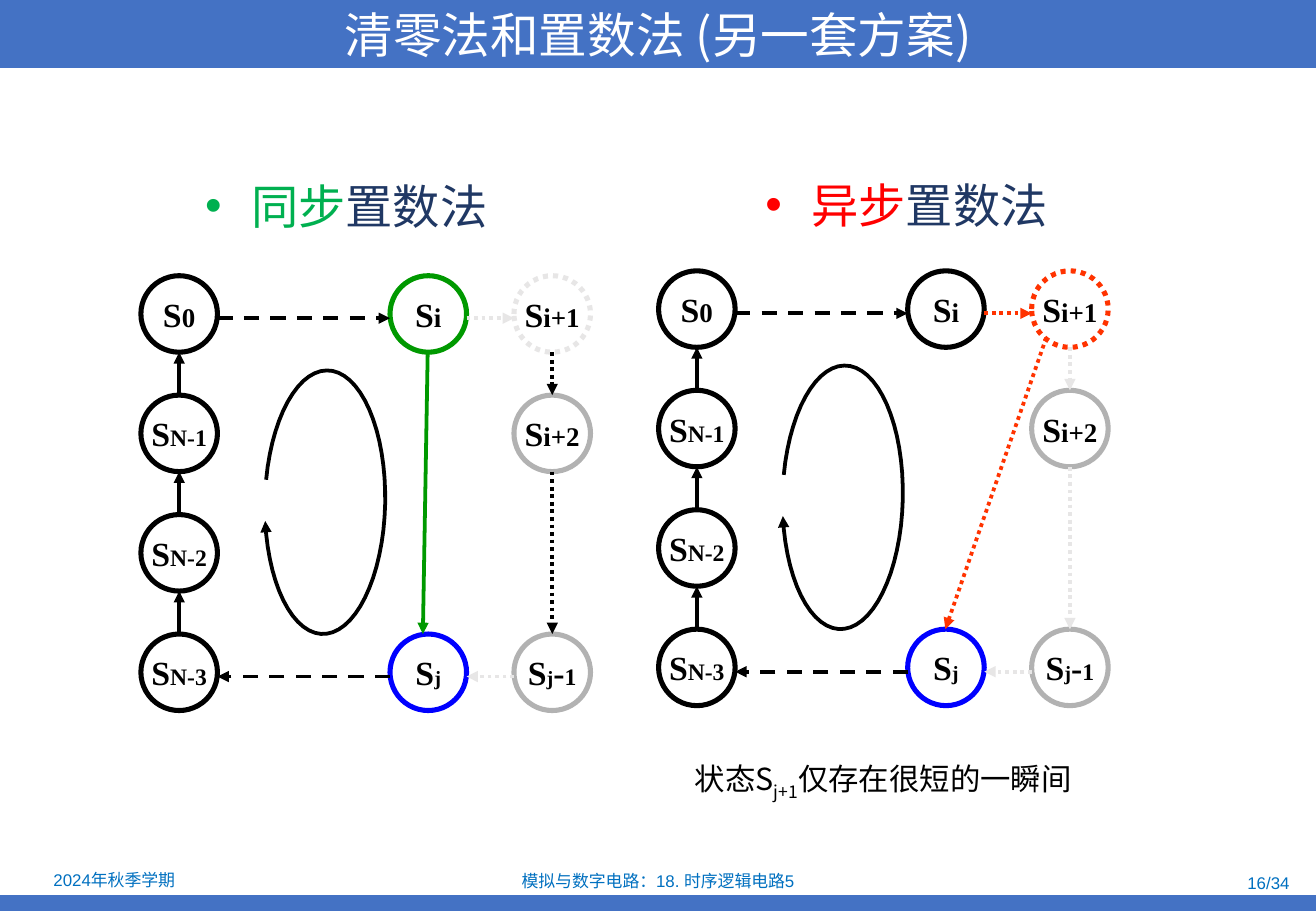
import math
import pptx
import pptx.util
import pptx.dml.color
import pptx.enum.dml
import pptx.enum.shapes
import pptx.enum.text
import pptx.oxml.ns
from lxml import etree

Inches = pptx.util.Inches
Shape = pptx.enum.shapes.MSO_SHAPE
Align = pptx.enum.text.PP_ALIGN
Anchor = pptx.enum.text.MSO_ANCHOR
Dash = pptx.enum.dml.MSO_LINE
qn = pptx.oxml.ns.qn

theme = {
    "black": "000000", "white": "FFFFFF", "bar": "4472C4", "footer": "0070C0",
    "navy": "203864", "sync": "00B050", "async": "FF0000", "jump": "009900",
    "flash": "FF3300", "target": "0000FF", "skipped": "B2B2B2", "faint": "E7E6E6",
    "sans": "Noto Sans CJK SC", "latin": "Arial", "serif": "Times New Roman",
    "title": 28.8, "heading": 28, "caption": 18, "small": 10,
    "state": 20, "index": 16, "step": 14, "tiny": 12,
    "ring": 3, "arrow": 2.25,
}


def write(box, spans, font, align=Align.LEFT, anchor=Anchor.MIDDLE, bold=False):
    frame = box.text_frame
    frame.vertical_anchor = anchor
    para = frame.paragraphs[0]
    para.alignment = align
    for text, size, color in spans:
        span = para.add_run()
        span.text = text
        span.font.name = theme[font]
        span.font.size = pptx.util.Pt(theme[size])
        span.font.bold = bold
        span.font.color.rgb = pptx.dml.color.RGBColor.from_string(theme[color])
        east = etree.SubElement(span.font._element, qn("a:ea"))
        east.set("typeface", theme["sans"])
    return para


def stroke(item, color, width, dash=None, arrow=False):
    item.line.color.rgb = pptx.dml.color.RGBColor.from_string(theme[color])
    item.line.width = pptx.util.Pt(theme[width])
    if dash:
        item.line.dash_style = dash
    if arrow:
        tail = etree.SubElement(item.line._get_or_add_ln(), qn("a:tailEnd"))
        tail.set("type", "triangle")


deck = pptx.Presentation()
deck.slide_width, deck.slide_height = Inches(10.83), Inches(7.5)
page = deck.slides.add_slide(deck.slide_layouts[6])

bars = []
for top, height in [(0, 0.56), (7.37, 0.13)]:
    bar = page.shapes.add_shape(Shape.RECTANGLE, 0, Inches(top), deck.slide_width, Inches(height))
    bar.shadow.inherit = False
    bar.fill.solid()
    bar.fill.fore_color.rgb = pptx.dml.color.RGBColor.from_string(theme["bar"])
    bar.line.fill.background()
    bars.append(bar)
write(bars[0], [("清零法和置数法 (另一套方案)", "title", "white")], "sans", Align.CENTER)

footers = [
    (0.02, 7.13, 1.84, "2024年秋季学期", Align.CENTER),
    (3.7, 7.14, 3.43, "模拟与数字电路：18. 时序逻辑电路5", Align.CENTER),
    (8.18, 7.16, 2.53, "16/34", Align.RIGHT),
]
for left, top, width, text, align in footers:
    box = page.shapes.add_textbox(Inches(left), Inches(top), Inches(width), Inches(0.22))
    box.text_frame.word_wrap = True
    box.text_frame.margin_top = box.text_frame.margin_bottom = 0
    write(box, [(text, "small", "footer")], "latin", align)

for left, top, word, color in [(1.59, 1.41, "同步", "sync"), (6.2, 1.4, "异步", "async")]:
    box = page.shapes.add_textbox(Inches(left), Inches(top), Inches(2.83), Inches(0.7))
    box.text_frame.word_wrap = True
    layout = box.text_frame.paragraphs[0]._p.get_or_add_pPr()
    layout.set("marL", str(Inches(0.38)))
    layout.set("indent", str(-Inches(0.38)))
    etree.SubElement(layout, qn("a:buFont")).set("typeface", theme["latin"])
    etree.SubElement(layout, qn("a:buChar")).set("char", "•")
    write(box, [(word, "heading", color), ("置数法", "heading", "navy")], "sans", anchor=Anchor.TOP)

size, middle, track = 0.63, 0.315, 0.35
columns = [0, 2.05, 3.07]
rows = [2.95 * row / 3 for row in range(4)]
last = rows[3]
states = [
    (0, 0, [("0", "index")]), (0, 1, [("N-1", "step")]),
    (0, 2, [("N-2", "step")]), (0, 3, [("N-3", "step")]),
    (1, 0, [("i", "index")]), (1, 3, [("j", "tiny")]),
    (2, 0, [("i+1", "index")]), (2, 1, [("i+2", "index")]),
    (2, 3, [("j", "tiny"), ("-", "state"), ("1", "step")]),
]
shared_rings = {(1, 3): "target", (2, 1): "skipped", (2, 3): "skipped"}
panels = [
    (1.16, 2.27, {(1, 0): "jump", (2, 0): "faint"}, "faint", "black",
     (2.36, size, 2.32, last, "jump", None)),
    (5.42, 2.23, {(2, 0): "flash"}, "flash", "faint",
     (3.19, 0.55, 2.36, last, "flash", Dash.ROUND_DOT)),
]
for origin_x, origin_y, own_rings, next_color, down_color, jump in panels:
    rings = {**shared_rings, **own_rings}
    for column, row, index in states:
        circle = page.shapes.add_shape(
            Shape.OVAL, Inches(origin_x + columns[column]), Inches(origin_y + rows[row]),
            Inches(size), Inches(size))
        circle.shadow.inherit = False
        circle.fill.solid()
        circle.fill.fore_color.rgb = pptx.dml.color.RGBColor.from_string(theme["white"])
        stroke(circle, rings.get((column, row), "black"), "ring",
               Dash.ROUND_DOT if (column, row) == (2, 0) else None)
        circle.text_frame.word_wrap = False
        label = [("S", "state", "black")] + [(text, scale, "black") for text, scale in index]
        write(circle, label, "serif", Align.CENTER, bold=True)

    right = columns[2] + middle
    links = [
        (size, track, columns[1], track, "black", Dash.DASH),
        (columns[1], last + track, size, last + track, "black", Dash.DASH),
        (columns[1] + size, track, columns[2], track, next_color, Dash.ROUND_DOT),
        (columns[2], last + track, columns[1] + size, last + track, "faint", Dash.ROUND_DOT),
        (right, size, right, rows[1], down_color, Dash.ROUND_DOT),
        (right, rows[1] + size, right, last, down_color, Dash.ROUND_DOT),
        jump,
    ]
    links += [(middle, lower, middle, upper + size, "black", None)
              for upper, lower in zip(rows, rows[1:])]
    for x1, y1, x2, y2, color, dash in links:
        link = page.shapes.add_connector(
            pptx.enum.shapes.MSO_CONNECTOR.STRAIGHT,
            Inches(origin_x + x1), Inches(origin_y + y1),
            Inches(origin_x + x2), Inches(origin_y + y2))
        stroke(link, color, "arrow", dash, arrow=True)
        etree.SubElement(link._element.spPr, qn("a:effectLst"))

    points = []
    for step in range(61):
        angle = math.radians(-170.2 + 342 * step / 60)
        rise = 1.085 * math.sin(angle)
        across = 0.495 * math.cos(angle) - 0.016 * rise
        points.append((Inches(origin_x + 1.515 + across), Inches(origin_y + 1.865 + rise)))
    builder = page.shapes.build_freeform(*points[0])
    builder.add_line_segments(points[1:], close=False)
    loop = builder.convert_to_shape()
    loop.shadow.inherit = False
    loop.fill.background()
    stroke(loop, "black", "arrow", arrow=True)

caption = page.shapes.add_textbox(Inches(5.62), Inches(6.21), Inches(3.69), Inches(0.4))
caption.text_frame.word_wrap = True
para = write(caption, [("状态S", "caption", "black"), ("j+1", "caption", "black"),
                       ("仅存在很短的一瞬间", "caption", "black")], "sans", anchor=Anchor.TOP)
para.runs[1].font._element.set("baseline", "-25000")

deck.save("out.pptx")
